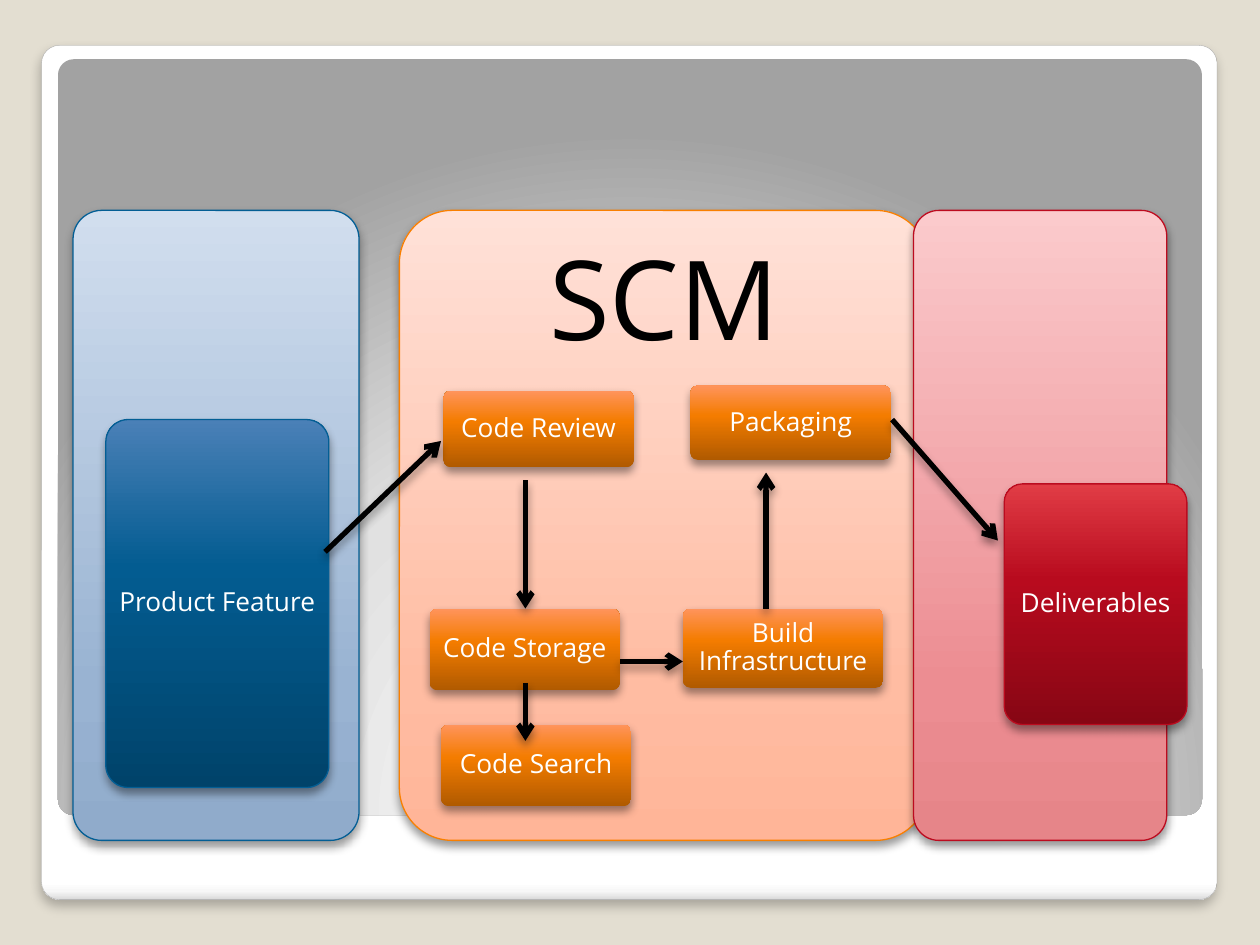
from lxml import etree
from pptx import Presentation
from pptx.dml.color import RGBColor
from pptx.enum.shapes import MSO_CONNECTOR as CONNECTOR, MSO_SHAPE as SHAPE
from pptx.enum.text import MSO_ANCHOR as ANCHOR, PP_ALIGN as ALIGN
from pptx.oxml import parse_xml
from pptx.oxml.ns import nsdecls, qn
from pptx.util import Inches, Pt

FONT = "Open Sans"
BLACK, WHITE = "000000", "FFFFFF"
SOFT_SHADOW = (40, 5.2, 3)

# Gradients run from bottom to top
PALE_BLUE = [(0, "90ABCB"), (25, "99B3D2"), (100, "D1DEEE")]
DEEP_BLUE = [(0, "00436A"), (60, "035C91"), (100, "4A80B7")]
PALE_ORANGE = [(0, "FFB598"), (25, "FFBCA2"), (100, "FFE1D8")]
DEEP_ORANGE = [(0, "B05A00"), (60, "F47C00"), (100, "FF945C")]
PALE_RED = [(0, "E68589"), (25, "EC8D92"), (100, "FBCACC")]
DEEP_RED = [(0, "870614"), (60, "B80B1E"), (100, "E13C45")]
BLUE_LINE, ORANGE_LINE, RED_LINE = "035E94", "F97F00", "BC0B1F"
UPWARD = '<a:lin ang="16200000" scaled="0"/>'
DOWNWARD = '<a:lin ang="5400000" scaled="0"/>'
GLOW = ('<a:path path="circle"><a:fillToRect l="50000" t="175000" '
        'r="50000" b="-75000"/></a:path>')


def color(value):
    return RGBColor.from_string(value)


def set_gradient(shape, stops, direction):
    shape.fill.background()
    steps = "".join(f'<a:gs pos="{pos * 1000}"><a:srgbClr val="{value}"/></a:gs>'
                    for pos, value in stops)
    gradient = parse_xml(f'<a:gradFill {nsdecls("a")} rotWithShape="1"><a:gsLst>{steps}'
                         f'</a:gsLst>{direction}</a:gradFill>')
    properties = shape._element.spPr
    properties.replace(properties.find(qn("a:noFill")), gradient)


def set_shadow(shape, alpha, blur, distance):
    properties = shape._element.spPr
    for effects in properties.findall(qn("a:effectLst")):
        properties.remove(effects)
    properties.append(parse_xml(
        f'<a:effectLst {nsdecls("a")}><a:outerShdw blurRad="{Pt(blur)}" dist="{Pt(distance)}" '
        f'dir="5400000" rotWithShape="0"><a:srgbClr val="{BLACK}">'
        f'<a:alpha val="{alpha * 1000}"/></a:srgbClr></a:outerShdw></a:effectLst>'))


def add_panel(page, box, stops, line=None, width=0.75, radius=0.1,
              direction=UPWARD, shadow=SOFT_SHADOW):
    panel = page.shapes.add_shape(SHAPE.ROUNDED_RECTANGLE, *map(Inches, box))
    panel.adjustments[0] = radius
    set_gradient(panel, stops, direction)
    if line:
        panel.line.color.rgb = color(line)
        panel.line.width = Pt(width)
    else:
        panel.line.fill.background()
    panel.shadow.inherit = False
    if shadow:
        set_shadow(panel, *shadow)
    return panel


def write_label(shape, text, size=15, ink=WHITE, insets=(0.04, 0.03)):
    frame = shape.text_frame
    frame.text = text
    frame.word_wrap = True
    frame.vertical_anchor = ANCHOR.MIDDLE
    frame.margin_left = frame.margin_right = Inches(insets[0])
    frame.margin_top = frame.margin_bottom = Inches(insets[1])
    para = frame.paragraphs[0]
    para.alignment = ALIGN.CENTER
    para.line_spacing = 0.9
    span = para.runs[0]
    span.font.name = FONT
    span.font.size = Pt(size)
    span.font.color.rgb = color(ink)


def add_arrow(page, start, end):
    arrow = page.shapes.add_connector(CONNECTOR.STRAIGHT, *map(Inches, start + end))
    arrow.line.color.rgb = color(BLACK)
    arrow.line.width = Pt(3)
    etree.SubElement(arrow.line._get_or_add_ln(), qn("a:tailEnd"), type="arrow")
    set_shadow(arrow, *SOFT_SHADOW)


def add_backdrop(page, box):
    left, top, width, height = box
    page.background.fill.solid()
    page.background.fill.fore_color.rgb = color("E3DED1")
    add_panel(page, box, [(0, WHITE), (98, WHITE), (99, "F7F7F7"), (100, "DADADA")],
              "A4A4A4", 0.16, 0.021, DOWNWARD, (25, 6, 4))
    add_panel(page, (left + 0.13, top + 0.11, width - 0.25, height - 0.78),
              [(0, WHITE), (55, "E1E1E1"), (100, "A2A2A2")],
              radius=0.021, direction=GLOW, shadow=None)


def add_column(page, box, pale, line, steps, deep, step_line=None, heading=None):
    """Steps are (text, left, top, width, height), measured from the column's corner."""
    left, top, width, height = box
    add_panel(page, box, pale, line)
    if heading:
        title = page.shapes.add_textbox(*map(Inches, (left, top, width, height * 0.3)))
        write_label(title, heading, 63, BLACK, (0.26, 0.26))
    for text, x, y, step_width, step_height in steps:
        step = add_panel(page, (left + x, top + y, step_width, step_height), deep, step_line)
        write_label(step, text)


deck = Presentation()
deck.slide_width, deck.slide_height = Inches(10), Inches(7.5)
page = deck.slides.add_slide(deck.slide_layouts[6])
add_backdrop(page, (0.33, 0.36, 9.33, 6.78))

# Columns from input to output
TOP, HEIGHT = 1.67, 5
add_column(page, (0.58, TOP, 2.27, HEIGHT), PALE_BLUE, BLUE_LINE,
           [("Product Feature", 0.26, 1.66, 1.77, 2.92)], DEEP_BLUE, BLUE_LINE)
add_column(page, (3.17, TOP, 4.2, HEIGHT), PALE_ORANGE, ORANGE_LINE,
           [("Code Review", 0.35, 1.43, 1.51, 0.61),
            ("Packaging", 2.31, 1.39, 1.59, 0.59),
            ("Build Infrastructure", 2.25, 3.16, 1.59, 0.63),
            ("Code Storage", 0.24, 3.16, 1.51, 0.65),
            ("Code Search", 0.33, 4.08, 1.51, 0.65)], DEEP_ORANGE, heading="SCM")
add_column(page, (7.25, TOP, 2.01, HEIGHT), PALE_RED, RED_LINE,
           [("Deliverables", 0.72, 2.17, 1.45, 1.91)], DEEP_RED, RED_LINE)

# Flow between the steps
for start, end in [((2.58, 4.38), (3.5, 3.5)),
                   ((4.17, 3.81), (4.17, 4.83)),
                   ((4.92, 5.25), (5.42, 5.25)),
                   ((6.08, 4.83), (6.08, 3.75)),
                   ((7.08, 3.33), (7.92, 4.29)),
                   ((4.17, 5.42), (4.17, 5.88))]:
    add_arrow(page, start, end)

deck.save("out.pptx")
